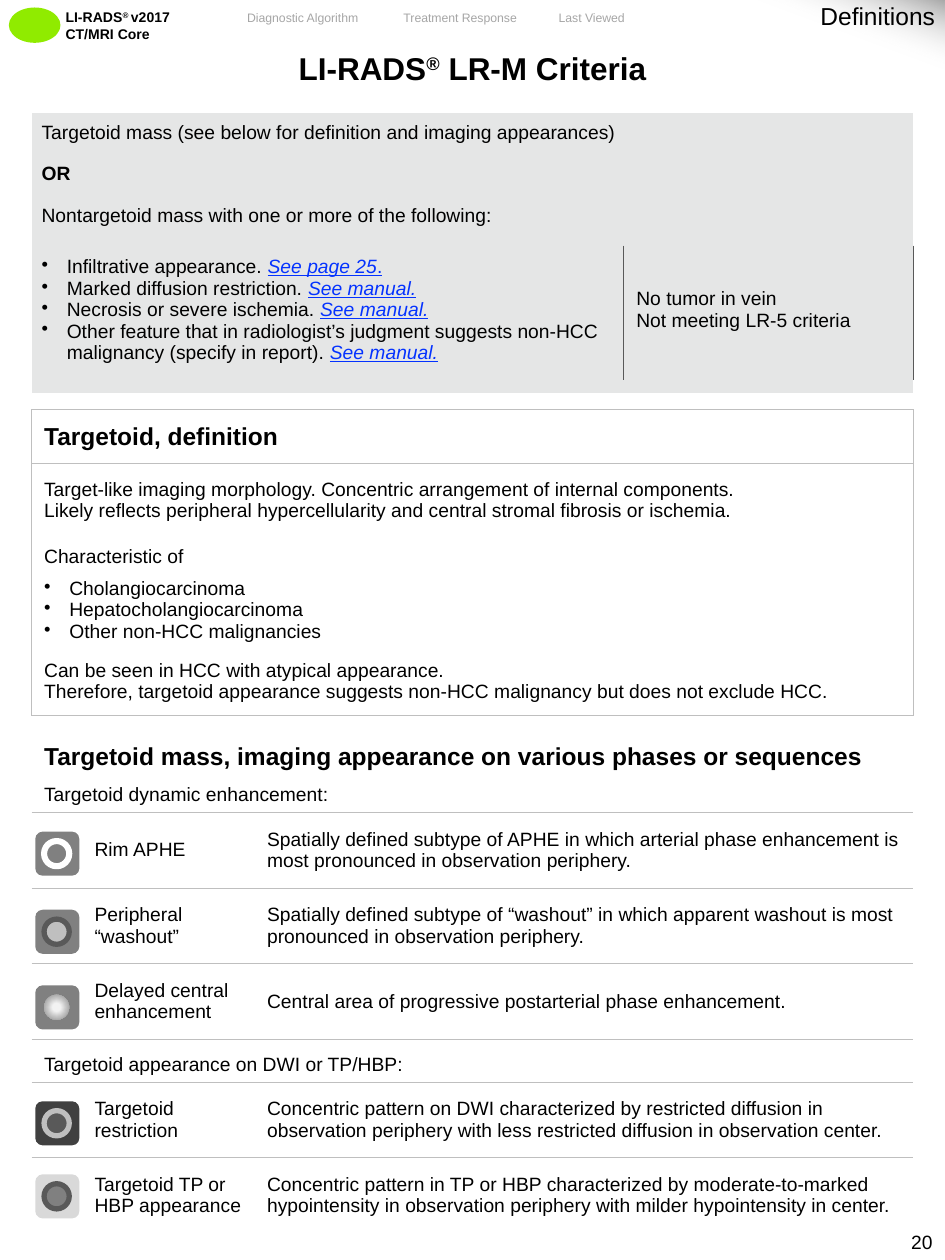
import pptx
import pptx.util
import pptx.dml.color
import pptx.enum.shapes
import pptx.enum.text
import pptx.oxml
import pptx.oxml.ns

Inches, Pt = pptx.util.Inches, pptx.util.Pt
MSO = pptx.enum.shapes.MSO_SHAPE
ALIGN = pptx.enum.text.PP_ALIGN
MIDDLE = pptx.enum.text.MSO_ANCHOR.MIDDLE
TOP = pptx.enum.text.MSO_ANCHOR.TOP
NS = pptx.oxml.ns.nsdecls("a")
BLACK, WHITE, PANEL, RULE, LINK = "000000", "FFFFFF", "E5E6E6", "BFBFBF", "0432FF"
NO_GRID = "{2D5ABB26-0587-4C30-8999-92F81FD0307C}"


def rgb(value):
    return pptx.dml.color.RGBColor.from_string(value)


class Slide:
    font = "Arial"

    def __init__(self, prs):
        self.s = prs.slides.add_slide(prs.slide_layouts[6])

    def fill_paragraph(self, p, content, size, color=BLACK, bold=False, align=None,
                       after=0, bullet=False, indent=0):
        """Content is a string or a list of (text, style) runs."""
        p.alignment = align
        p.space_after = Pt(after)
        p.font.size, p.font.name, p.font.bold = Pt(size), self.font, bold
        runs = [(content, "")] if isinstance(content, str) else content
        if isinstance(content, str):
            p.font.color.rgb = rgb(color)
        for text, style in runs:
            r = p.add_run()
            r.text = text
            if not isinstance(content, str):
                r.font.color.rgb = rgb(LINK if "u" in style else color)
            if "i" in style:
                r.font.italic = True
            if "u" in style:
                r.font.underline = True
            if "^" in style:
                r.font._element.set("baseline", "30000")
        pPr = p._p.get_or_add_pPr()
        if bullet:
            pPr.set("marL", str(Inches(0.2)))
            pPr.set("indent", str(Inches(-0.2)))
            mark = pptx.oxml.parse_xml(f'<a:buChar {NS} char="•"/>')
            pPr.insert_element_before(mark, "a:tabLst", "a:defRPr", "a:extLst")
        elif indent:
            pPr.set("marL", str(Inches(indent)))

    def fill_frame(self, tf, paragraphs, **style):
        for i, content in enumerate(paragraphs):
            p = tf.paragraphs[0] if i == 0 else tf.add_paragraph()
            own = dict(style)
            if isinstance(content, dict):
                own.update(content)
                content = own.pop("content")
            self.fill_paragraph(p, content, **own)

    def text(self, x, y, w, h, paragraphs, wrap=True, anchor=TOP, margin=0.1, **style):
        tf = self.s.shapes.add_textbox(Inches(x), Inches(y), Inches(w), Inches(h)).text_frame
        tf.word_wrap, tf.vertical_anchor = wrap, anchor
        tf.margin_left = tf.margin_right = Inches(margin)
        tf.margin_top = tf.margin_bottom = Inches(0.04)
        self.fill_frame(tf, paragraphs, **style)

    def shape(self, kind, x, y, w, h, fill=None, line=None, width=3):
        sp = self.s.shapes.add_shape(kind, Inches(x), Inches(y), Inches(w), Inches(h))
        sp.shadow.inherit = False
        if fill:
            sp.fill.solid()
            sp.fill.fore_color.rgb = rgb(fill)
        if line:
            sp.line.color.rgb, sp.line.width = rgb(line), Pt(width)
        else:
            sp.line.fill.background()
        return sp

    def gradient(self, sp, stops, direction):
        """Stops are (percent, colour, opacity percent)."""
        gs = "".join(f'<a:gs pos="{pos * 1000}"><a:srgbClr val="{c}">'
                     f'<a:alpha val="{a * 1000}"/></a:srgbClr></a:gs>' for pos, c, a in stops)
        sp.fill.background()
        old = sp._element.spPr.find(pptx.oxml.ns.qn("a:noFill"))
        old.getparent().replace(old, pptx.oxml.parse_xml(
            f'<a:gradFill {NS} rotWithShape="1"><a:gsLst>{gs}</a:gsLst>{direction}</a:gradFill>'))

    def table(self, x, widths, edges):
        frame = self.s.shapes.add_table(len(edges) - 1, len(widths), Inches(x), Inches(edges[0]),
                                        Inches(sum(widths)), Inches(edges[-1] - edges[0]))
        t = frame.table
        t.first_row = t.horz_banding = False
        t._tbl.tblPr.find(pptx.oxml.ns.qn("a:tableStyleId")).text = NO_GRID
        for col, w in zip(t.columns, widths):
            col.width = Inches(w)
        for row, a, b in zip(t.rows, edges, edges[1:]):
            row.height = Inches(b - a)
        for cell in t.iter_cells():
            cell.margin_top = cell.margin_bottom = 0
            cell.text_frame.paragraphs[0]._p.get_or_add_endParaRPr().set("sz", "200")
        return t

    def cell(self, t, row, first, last, paragraphs=(), fill=WHITE, sides="", line=RULE,
             left=0.1, right=0.04, top=0, bottom=0, size=11, **style):
        c = t.cell(row, first)
        if last > first:
            c.merge(t.cell(row, last))
        for i in range(first, last + 1):
            part = t.cell(row, i)
            part.fill.solid()
            part.fill.fore_color.rgb = rgb(fill)
            tcPr = part._tc.get_or_add_tcPr()
            borders = [side for side in "LRTB" if side in sides]
            for n, side in enumerate(borders):
                tcPr.insert(n, pptx.oxml.parse_xml(
                    f'<a:ln{side} {NS} w="{Pt(0.5)}"><a:solidFill><a:srgbClr val="{line}"/>'
                    f'</a:solidFill></a:ln{side}>'))
        c.vertical_anchor = MIDDLE
        c.margin_left, c.margin_right = Inches(left), Inches(right)
        c.margin_top, c.margin_bottom = Inches(top), Inches(bottom)
        self.fill_frame(c.text_frame, paragraphs, size=size, **style)

    def icon(self, y, back, core=None, ring=None, width=3):
        self.shape(MSO.ROUNDED_RECTANGLE, 0.28, y, 0.35, 0.35, back)
        return self.shape(MSO.OVAL, 0.35, y + 0.075, 0.2, 0.2, core, ring, width)


def main():
    prs = pptx.Presentation()
    prs.slide_width, prs.slide_height = Inches(7.5), Inches(10)
    d = Slide(prs)

    # Header
    d.shape(MSO.OVAL, 0.07, 0.06, 0.41, 0.28, "90EB00")
    d.text(0.45, 0.03, 1.29, 0.34, [[("LI-RADS", ""), ("® ", "^"), ("v2017", "")], "CT/MRI Core"],
           margin=0.07, size=8, bold=True)
    for x, w, label in [(1.84, 1.15, "Diagnostic Algorithm "), (3.09, 1.15, "Treatment Response "),
                        (4.33, 0.76, "Last Viewed ")]:
        d.text(x, 0.03, w, 0.22, [label], wrap=False, anchor=MIDDLE, size=7, color="A6A6A6",
               align=ALIGN.CENTER)

    # Criteria table
    edges = [0.4, 0.9, 1.2, 1.56, 1.87, 1.95, 3.02, 3.12, 3.25, 3.68, 4.26, 5.17, 5.68,
             5.85, 6.17, 6.45, 7.05, 7.65, 8.25, 8.59, 9.19, 9.79]
    t = d.table(0.25, [1.79, 2.91, 2.3], edges)
    d.cell(t, 0, 0, 2, [[("LI-RADS", ""), ("®", "^"), (" LR-M Criteria", "")]],
           right=0.1, bottom=0.2, size=18, bold=True, align=ALIGN.CENTER)

    # Grey panel
    intro = ["Targetoid mass (see below for definition and imaging appearances)", "OR",
             "Nontargetoid mass with one or more of the following:"]
    for row, line in enumerate(intro, 1):
        d.cell(t, row, 0, 2, [line], PANEL, left=0.08, bold=line == "OR")
    manual = ("See manual.", "iu")
    features = [
        [("Infiltrative appearance. ", ""), ("See page 25", "iu"), (".", "u")],
        [("Marked diffusion restriction. ", ""), manual],
        [("Necrosis or severe ischemia. ", ""), manual],
        [("Other feature that in radiologist’s judgment suggests non-HCC malignancy "
          "(specify in report). ", ""), manual]]
    d.cell(t, 5, 0, 1, features, PANEL, "", left=0.08, bottom=0.05, bullet=True)
    d.cell(t, 5, 2, 2, ["No tumor in vein", "Not meeting LR-5 criteria"], PANEL, "L", "595959",
           right=0.1, bottom=0.05)
    for row, fill in [(4, PANEL), (6, PANEL), (7, WHITE), (12, WHITE)]:
        d.cell(t, row, 0, 2, fill=fill)

    # Definition box
    d.cell(t, 8, 0, 2, ["Targetoid, definition"], sides="LRT", size=14, bold=True)
    d.cell(t, 9, 0, 2, [
        "Target-like imaging morphology. Concentric arrangement of internal components.",
        "Likely reflects peripheral hypercellularity and central stromal fibrosis or ischemia."],
        sides="LR")
    d.cell(t, 10, 0, 2, [dict(content="Characteristic of", bullet=False, after=6),
                         "Cholangiocarcinoma", "Hepatocholangiocarcinoma",
                         "Other non-HCC malignancies"], sides="LR", bullet=True)
    d.cell(t, 11, 0, 2, [
        "Can be seen in HCC with atypical appearance.",
        "Therefore, targetoid appearance suggests non-HCC malignancy but does not exclude HCC."],
        sides="LRB", bottom=0.03)

    # Imaging appearances
    d.cell(t, 13, 0, 2, ["Targetoid mass, imaging appearance on various phases or sequences"],
           size=14, bold=True)
    d.cell(t, 14, 0, 2, ["Targetoid dynamic enhancement:"], sides="B")
    d.cell(t, 18, 0, 2, ["Targetoid appearance on DWI or TP/HBP:"], sides="B", top=0.06)
    appearances = [
        (15, "TB", "Rim APHE", "Spatially defined subtype of APHE in which arterial phase "
         "enhancement is most pronounced in observation periphery."),
        (16, "TB", "Peripheral “washout”", "Spatially defined subtype of “washout” in which "
         "apparent washout is most pronounced in observation periphery."),
        (17, "T", "Delayed central enhancement",
         "Central area of progressive postarterial phase enhancement."),
        (19, "TB", "Targetoid restriction", "Concentric pattern on DWI characterized by restricted "
         "diffusion in observation periphery with less restricted diffusion in observation center."),
        (20, "T", "Targetoid TP or HBP appearance", "Concentric pattern in TP or HBP characterized "
         "by moderate-to-marked hypointensity in observation periphery with milder "
         "hypointensity in center.")]
    for row, sides, name, meaning in appearances:
        d.cell(t, row, 0, 0, [name], sides=sides, indent=0.4)
        d.cell(t, row, 1, 2, [meaning], sides=sides, left=0.08, right=0.1)

    # Icons
    d.icon(6.6, "808080", "808080", WHITE, 3.5)
    d.icon(7.22, "808080", "BFBFBF", "595959")
    d.icon(8.74, "404040", "595959", "BFBFBF")
    d.icon(9.32, "D9D9D9", "808080", "595959")
    d.gradient(d.icon(7.82, "808080"), [(23, "F2F2F2", 100), (100, "808080", 100)],
               '<a:path path="circle"><a:fillToRect l="50000" t="50000" r="50000" b="50000"/>'
               '</a:path>')

    # Page number and corner title
    d.text(7.01, 9.71, 0.49, 0.29, ["20"], wrap=False, anchor=MIDDLE, size=11, align=ALIGN.RIGHT)
    corner = d.shape(MSO.RIGHT_TRIANGLE, 5.99, 0, 1.51, 0.55)
    corner.rotation = 180
    d.gradient(corner, [(0, "A6A6A6", 100), (50, WHITE, 0)],
               f'<a:lin ang="{290 * 60000}" scaled="0"/>')
    d.text(5.42, -0.03, 2.1, 0.34, ["Definitions"], size=14, align=ALIGN.RIGHT)

    prs.save("out.pptx")


if __name__ == "__main__":
    main()
